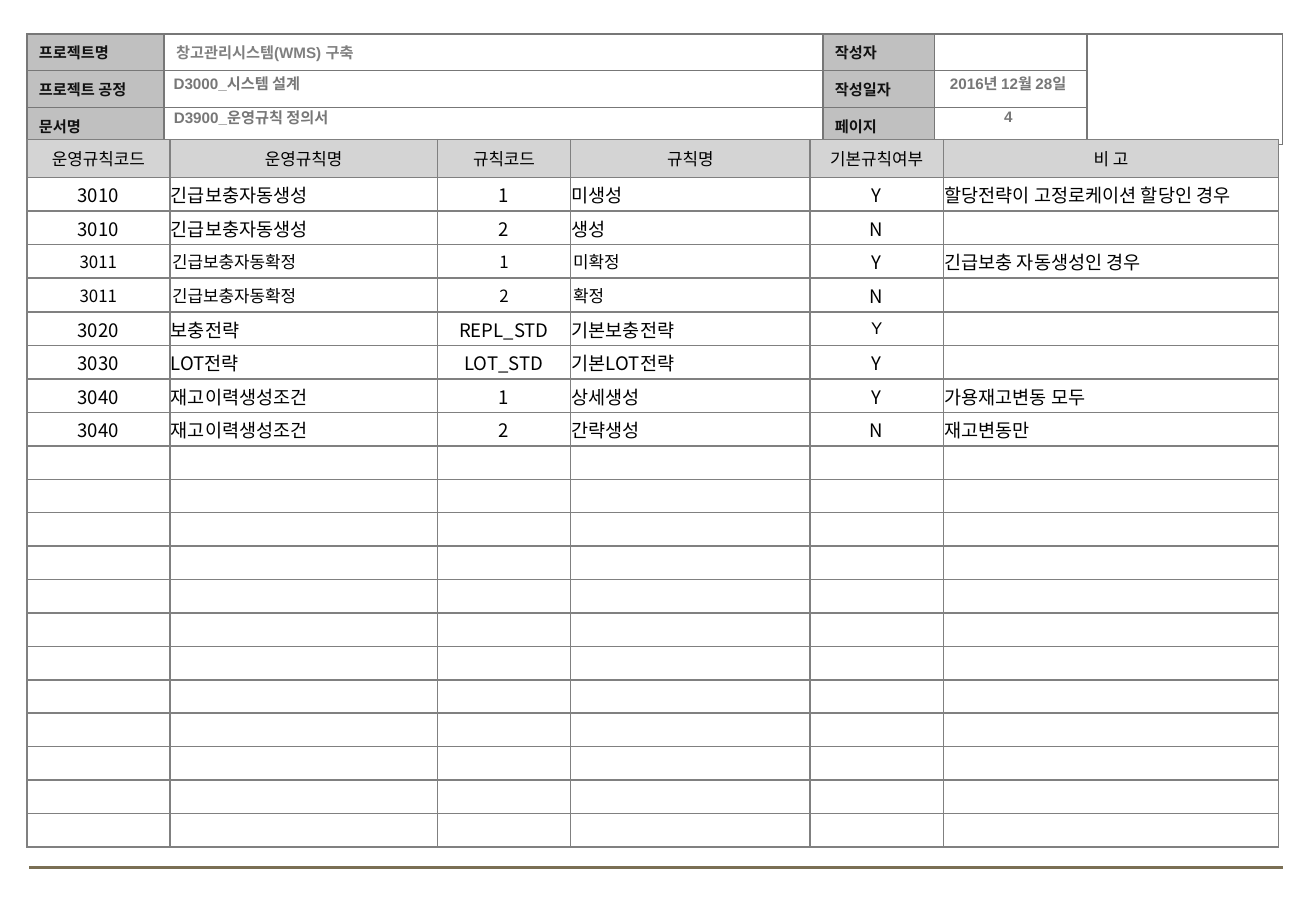
from pptx import Presentation
from pptx import util as u
from pptx.dml.color import RGBColor
from pptx.enum import shapes, text
from pptx.oxml import parse_xml
from pptx.oxml.ns import nsdecls, qn
from lxml import etree

BLACK = RGBColor(0x00, 0x00, 0x00)
LABEL = RGBColor(0x11, 0x11, 0x11)
VALUE = RGBColor(0x77, 0x77, 0x77)
GRAY = RGBColor(0x80, 0x80, 0x80)
LABEL_FILL = RGBColor(0xC0, 0xC0, 0xC0)
HEAD_FILL = RGBColor(0xD4, 0xD4, 0xD4)
FOOT_LINE = RGBColor(0x7A, 0x6F, 0x54)
LATIN, KOREAN = "Arial", "Noto Sans CJK KR"
LEFT, CENTER = text.PP_ALIGN.LEFT, text.PP_ALIGN.CENTER

deck = Presentation()
deck.slide_width, deck.slide_height = u.Cm(27.51), u.Cm(19.05)
page = deck.slides.add_slide(deck.slide_layouts[5])


def write(para, words, size, color, font=LATIN, bold=False, align=LEFT):
    para.text = words
    para.alignment = align
    para.font.size = u.Pt(size)
    para.font.name = font
    para.font.bold = bold
    para.font.color.rgb = color
    if not words:
        end = etree.SubElement(para._p, qn("a:endParaRPr"))
        end.set("sz", str(size * 100))


def add_grid(top, widths, row_count, row_height, line_color):
    frame = page.shapes.add_table(row_count, len(widths), u.Cm(0.56), u.Cm(top),
                                  u.Cm(sum(widths)), u.Cm(row_count * row_height))
    table = frame.table
    table.first_row = table.horz_banding = False
    for column, width in zip(table.columns, widths):
        column.width = u.Cm(width)
    for row in table.rows:
        row.height = u.Cm(row_height)
        for cell in row.cells:
            cell.vertical_anchor = text.MSO_ANCHOR.MIDDLE
            for side in "LRTB":
                cell._tc.get_or_add_tcPr().append(parse_xml(
                    f'<a:ln{side} {nsdecls("a")} w="12700"><a:solidFill>'
                    f'<a:srgbClr val="{line_color}"/></a:solidFill></a:ln{side}>'))
            cell.fill.background()
    return table


# Document header
header_rows = [
    ["프로젝트명", "창고관리시스템(WMS) 구축", "작성자", "", ""],
    ["프로젝트 공정", "", "작성일자", "", ""],
    ["문서명", "", "페이지", "", ""],
]
header = add_grid(0.71, [2.87, 13.77, 2.34, 3.18, 4.09], 3, 0.77, VALUE)
for r, row in enumerate(header_rows):
    for c, words in enumerate(row):
        cell = header.cell(r, c)
        is_label = c in (0, 2)
        write(cell.text_frame.paragraphs[0], words, 9, LABEL if is_label else GRAY, bold=True)
        if is_label:
            cell.fill.solid()
            cell.fill.fore_color.rgb = LABEL_FILL
header.cell(0, 4).merge(header.cell(2, 4))

header_values = [
    ("D3000_시스템 설계", 3.38, 1.42, 12.19, LEFT),
    ("D3900_운영규칙 정의서", 3.38, 2.13, 12.19, LEFT),
    ("4", 19.48, 2.13, 3.2, CENTER),
    ("2016년 12월 28일", 19.08, 1.42, 3.99, CENTER),
]
for words, left, top, width, align in header_values:
    if words.startswith("D3900"):
        box = page.shapes.title
    else:
        box = page.shapes.add_textbox(0, 0, 0, 0)
    box.left, box.top, box.width, box.height = u.Cm(left), u.Cm(top), u.Cm(width), u.Cm(0.64)
    box.text_frame.word_wrap = True
    box.text_frame.auto_size = text.MSO_AUTO_SIZE.NONE
    box.text_frame.vertical_anchor = text.MSO_ANCHOR.TOP
    write(box.text_frame.paragraphs[0], words, 9, VALUE, bold=True, align=align)

# Rule table
rule_widths = [2.99, 5.59, 2.79, 5, 2.79, 7.01]
rule_heads = ["운영규칙코드", "운영규칙명", "규칙코드", "규칙명", "기본규칙여부", "비 고"]
heads = add_grid(2.92, rule_widths, 1, 0.79, GRAY)
for cell, words in zip(heads.rows[0].cells, rule_heads):
    cell.margin_left = cell.margin_right = u.Cm(0.05)
    cell.margin_top = cell.margin_bottom = u.Cm(0.1)
    cell.fill.solid()
    cell.fill.fore_color.rgb = HEAD_FILL
    write(cell.text_frame.paragraphs[0], words, 10, BLACK, align=CENTER)

rule_rows = [
    ["3010", "긴급보충자동생성", "1", "미생성", "Y", "할당전략이 고정로케이션 할당인 경우"],
    ["3010", "긴급보충자동생성", "2", "생성", "N", ""],
    ["3011", "긴급보충자동확정", "1", "미확정", "Y", "긴급보충 자동생성인 경우"],
    ["3011", "긴급보충자동확정", "2", "확정", "N", ""],
    ["3020", "보충전략", "REPL_STD", "기본보충전략", "Y", ""],
    ["3030", "LOT전략", "LOT_STD", "기본LOT전략", "Y", ""],
    ["3040", "재고이력생성조건", "1", "상세생성", "Y", "가용재고변동 모두"],
    ["3040", "재고이력생성조건", "2", "간략생성", "N", "재고변동만"],
]
rule_rows += [[""] * 6] * 12
rules = add_grid(3.71, rule_widths, len(rule_rows), 0.7, GRAY)
for r, row in enumerate(rule_rows):
    for c, words in enumerate(row):
        cell = rules.cell(r, c)
        is_default_flag = row[0] == "3020" and c == 4
        is_small = is_default_flag or (row[0] == "3011" and c < 4)
        cell.margin_left = cell.margin_right = u.Cm(0.05 if is_small else 0.02)
        cell.margin_top = u.Cm(0.1 if is_small else 0.02)
        cell.margin_bottom = u.Cm(0.1 if is_small else 0)
        write(cell.text_frame.paragraphs[0], words, 10 if is_small else 11, BLACK,
              LATIN if is_default_flag else KOREAN, align=CENTER if c in (0, 2, 4) else LEFT)

# Footer line
footer = page.shapes.add_connector(shapes.MSO_CONNECTOR.STRAIGHT,
                                   u.Cm(0.61), u.Cm(18.14), u.Cm(26.82), u.Cm(18.14))
footer.line.color.rgb = FOOT_LINE
footer.line.width = u.Pt(1.75)
etree.SubElement(footer._element.spPr, qn("a:effectLst"))

deck.save("out.pptx")
